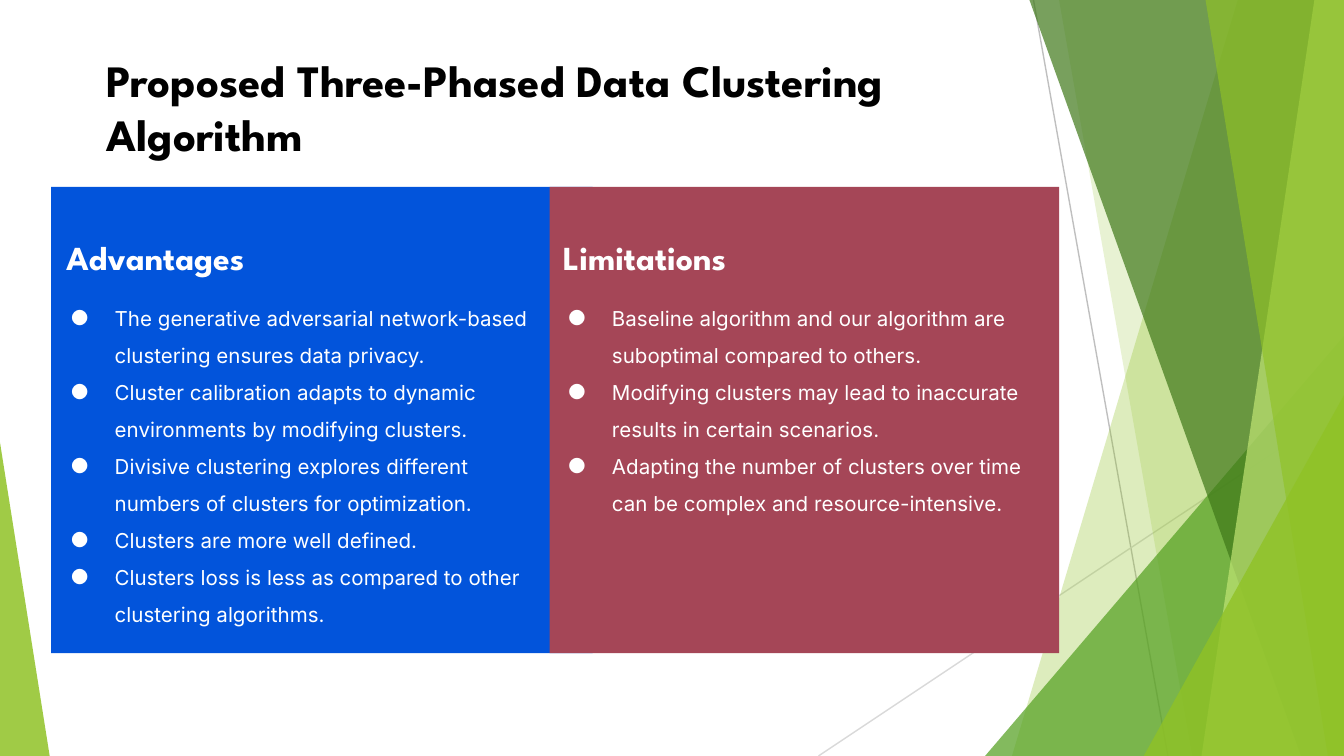
from dataclasses import dataclass

import pptx
import pptx.dml.color
import pptx.enum.shapes
import pptx.enum.text
import pptx.oxml.ns
import pptx.util
from lxml import etree

PX = 4572  # EMU per px, 200 px to the inch
WIDTH, HEIGHT = 2000, 1125
PANEL_TOP, PANEL_HEIGHT = 278, 694
LIST_WIDTH = 758

COLORS = {
    "black": "000000",
    "white": "FFFFFF",
    "gray": "BFBFBF",
    "light gray": "D9D9D9",
    "lime": "90C226",
    "pale lime": "C0E474",
    "green": "54A021",
    "dark green": "3F7819",
    "blue": "0254DB",
    "red": "A54657",
}


@dataclass
class Ray:
    start: tuple[int, int]
    end: tuple[int, int]
    color: str


@dataclass
class Band:
    """Area between a slanted left edge and the right side of the slide."""
    top_x: int
    bottom_x: int
    color: str
    opacity: int


@dataclass
class Wedge:
    """Triangle standing on the bottom of the slide."""
    left: int
    top: int
    width: int
    apex: int
    color: str
    opacity: int


@dataclass
class Panel:
    left: int
    width: int
    color: str
    heading: str
    heading_left: int
    heading_width: int
    list_left: int
    list_height: int
    points: list[str]


RAYS = [
    Ray((1538, 0), (1738, HEIGHT), "gray"),
    Ray((2000, 604), (1218, HEIGHT), "light gray"),
]

DECORATIONS = [
    Band(1842, 1506, "lime", 30),
    Band(1576, 1774, "lime", 20),
    Wedge(1466, 500, 534, 1, "green", 72),
    Band(1532, 1936, "dark green", 70),
    Band(1956, 1788, "pale lime", 70),
    Band(1794, 1976, "lime", 65),
    Wedge(1702, 588, 298, 1, "lime", 80),
    Wedge(0, 658, 74, 0, "lime", 85),
]

PANELS = [
    Panel(76, 806, "blue", "Advantages", 79, 638, 51, 556, [
        "The generative adversarial network-based clustering ensures data privacy.",
        "Cluster calibration adapts to dynamic environments by modifying clusters.",
        "Divisive clustering explores different numbers of clusters for optimization.",
        "Clusters are more well defined.",
        "Clusters loss is less as compared to other clustering algorithms.",
    ]),
    Panel(818, 758, "red", "Limitations", 818, 758, 791, 472, [
        "Baseline algorithm and our algorithm are suboptimal compared to others.",
        "Modifying clusters may lead to inaccurate results in certain scenarios.",
        "Adapting the number of clusters over time can be complex and resource-intensive.",
    ]),
]


def px(*lengths: int) -> list[pptx.util.Emu]:
    return [pptx.util.Emu(length * PX) for length in lengths]


def rgb(color: str) -> pptx.dml.color.RGBColor:
    return pptx.dml.color.RGBColor.from_string(COLORS[color])


def add_child(parent, tag: str, **attributes: str):
    return etree.SubElement(parent, pptx.oxml.ns.qn(tag), attributes)


def paint(shape, color: str, opacity: int = 100) -> None:
    shape.shadow.inherit = False
    shape.line.fill.background()
    shape.fill.solid()
    shape.fill.fore_color.rgb = rgb(color)
    if opacity < 100:
        fill = shape.element.spPr.find(".//" + pptx.oxml.ns.qn("a:srgbClr"))
        add_child(fill, "a:alpha", val=str(opacity * 1000))


def draw_ray(slide, ray: Ray) -> None:
    line = slide.shapes.add_connector(
        pptx.enum.shapes.MSO_CONNECTOR.STRAIGHT, *px(*ray.start, *ray.end))
    line.line.color.rgb = rgb(ray.color)
    line.line.width = pptx.util.Pt(0.75)
    add_child(line.element.spPr, "a:effectLst")


def draw_band(slide, band: Band) -> None:
    builder = slide.shapes.build_freeform(band.top_x, 0, scale=PX)
    builder.add_line_segments(
        [(WIDTH, 0), (WIDTH, HEIGHT), (band.bottom_x, HEIGHT)], close=True)
    paint(builder.convert_to_shape(), band.color, band.opacity)


def draw_wedge(slide, wedge: Wedge) -> None:
    shape = slide.shapes.add_shape(
        pptx.enum.shapes.MSO_SHAPE.ISOSCELES_TRIANGLE,
        *px(wedge.left, wedge.top, wedge.width, HEIGHT - wedge.top))
    shape.adjustments[0] = wedge.apex
    paint(shape, wedge.color, wedge.opacity)


def add_bullet(paragraph, color: str, font: str) -> None:
    properties = paragraph._p.get_or_add_pPr()
    properties.set("marL", str(100 * PX))
    properties.set("indent", str(-66 * PX))
    bullet_color = add_child(properties, "a:buClr")
    add_child(bullet_color, "a:srgbClr", val=COLORS[color])
    add_child(properties, "a:buFont", typeface=font)
    add_child(properties, "a:buChar", char="●")


def add_text(slide, lines: list[str], *, box: tuple[int, int, int, int], size: int,
             font: str = "League Spartan", color: str = "white", bold: bool = True,
             bullets: bool = False) -> None:
    frame = slide.shapes.add_textbox(*px(*box)).text_frame
    frame.word_wrap = True
    frame.vertical_anchor = pptx.enum.text.MSO_ANCHOR.TOP
    frame.margin_left, frame.margin_top, frame.margin_right, frame.margin_bottom = px(
        20, 20, 20, 20)
    for index, line in enumerate(lines):
        paragraph = frame.add_paragraph() if index else frame.paragraphs[0]
        run = paragraph.add_run()
        run.text = line
        run.font.name = font
        run.font.size = pptx.util.Pt(size)
        run.font.bold = bold
        run.font.color.rgb = rgb(color)
        if bullets:
            paragraph.line_spacing = 1.5
            add_bullet(paragraph, color, font)


def draw_panel(slide, panel: Panel) -> None:
    shape = slide.shapes.add_shape(
        pptx.enum.shapes.MSO_SHAPE.RECTANGLE,
        *px(panel.left, PANEL_TOP, panel.width, PANEL_HEIGHT))
    paint(shape, panel.color)


def main() -> None:
    presentation = pptx.Presentation()
    presentation.slide_width, presentation.slide_height = px(WIDTH, HEIGHT)
    slide = presentation.slides.add_slide(presentation.slide_layouts[6])

    # Background rays and green facets
    for ray in RAYS:
        draw_ray(slide, ray)
    for decoration in DECORATIONS:
        draw = draw_band if isinstance(decoration, Band) else draw_wedge
        draw(slide, decoration)

    # Title
    add_text(slide, ["Proposed Three-Phased Data Clustering Algorithm"],
             box=(139, 59, 1470, 100), size=24, color="black")

    # Panels first, as they overlap, then their text
    for panel in PANELS:
        draw_panel(slide, panel)
    for panel in PANELS:
        add_text(slide, [panel.heading], size=18,
                 box=(panel.heading_left, 333, panel.heading_width, 100))
        add_text(slide, panel.points, size=11, font="Inter", bold=False, bullets=True,
                 box=(panel.list_left, 417, LIST_WIDTH, panel.list_height))

    presentation.save("out.pptx")


if __name__ == "__main__":
    main()
